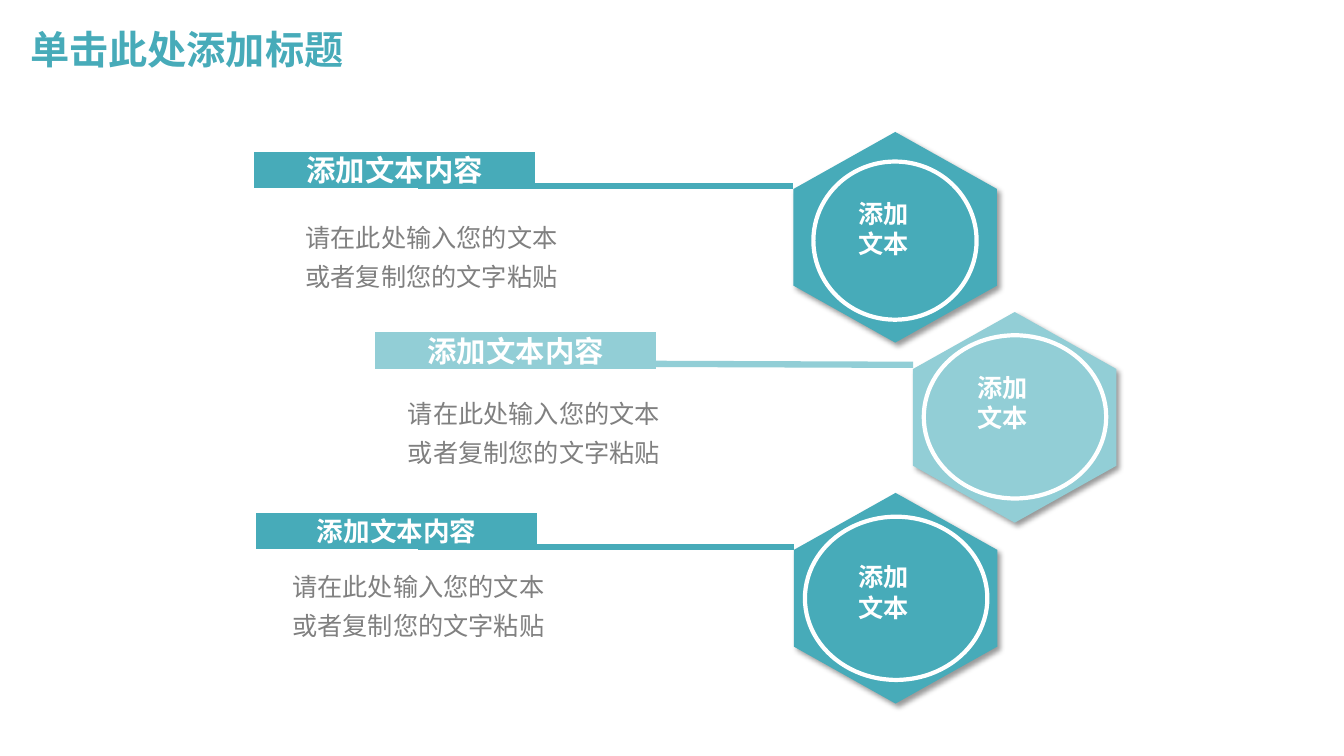
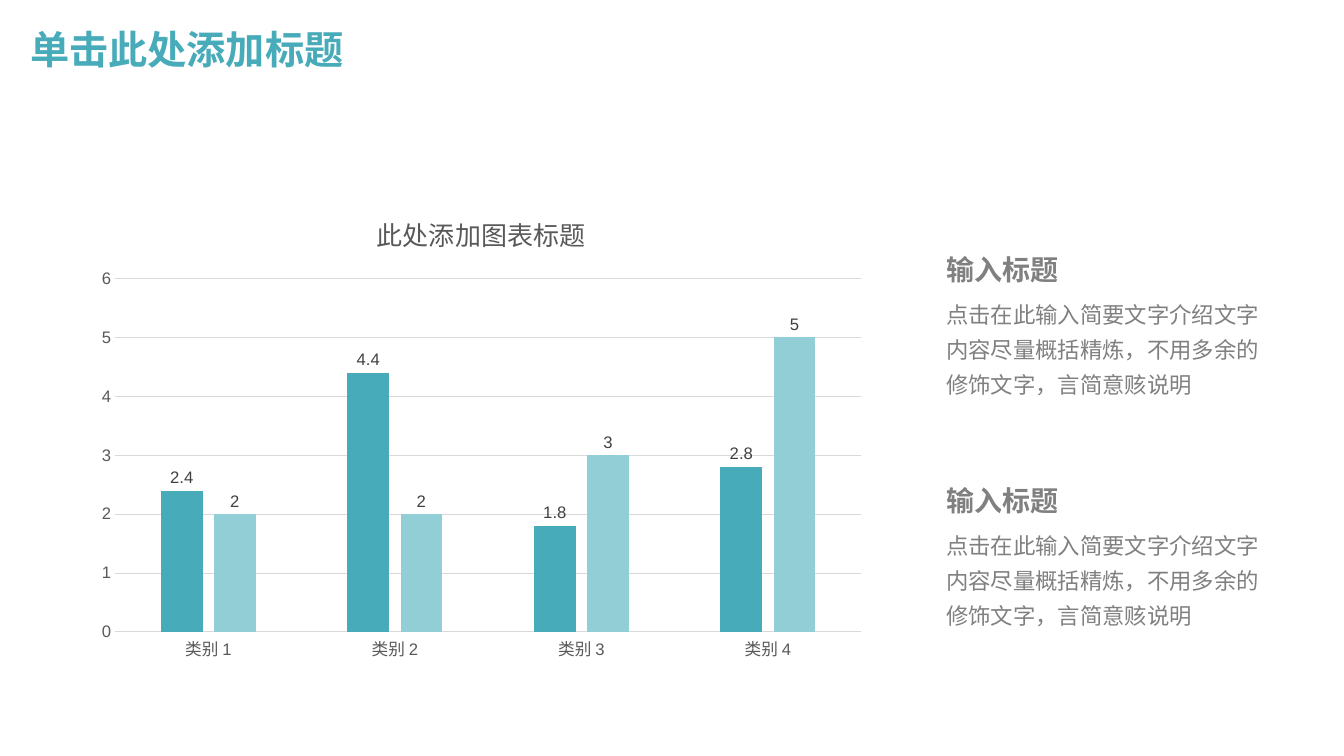
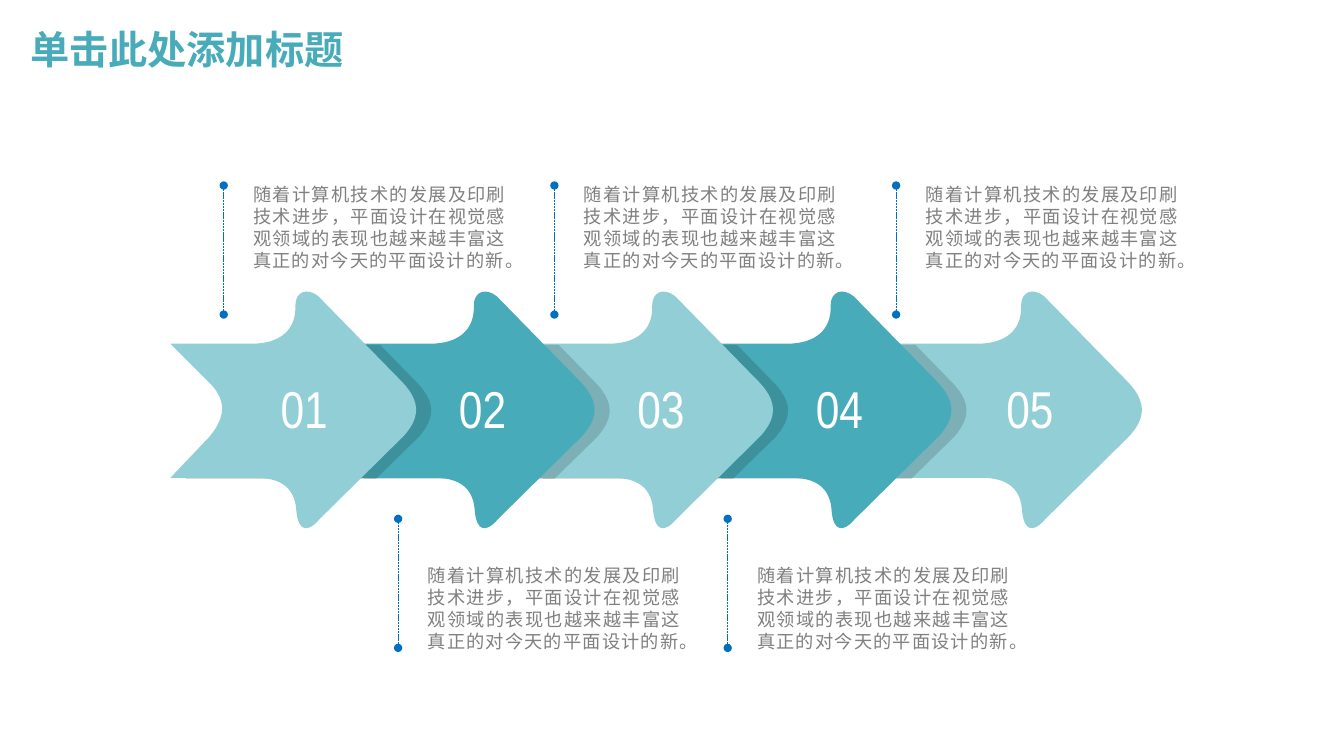
from dataclasses import dataclass
from typing import Any, Optional

import lxml.etree
import pptx
import pptx.chart.data
import pptx.dml.color
import pptx.enum.chart
import pptx.enum.dml
import pptx.enum.shapes
import pptx.enum.text
import pptx.oxml.ns
import pptx.util

Pt = pptx.util.Pt
RGBColor = pptx.dml.color.RGBColor
Align = pptx.enum.text.PP_ALIGN
Anchor = pptx.enum.text.MSO_ANCHOR
AutoSize = pptx.enum.text.MSO_AUTO_SIZE
Shape = pptx.enum.shapes.MSO_SHAPE
qn = pptx.oxml.ns.qn

TEAL = RGBColor(0x47, 0xAB, 0xB9)
PALE_TEAL = RGBColor(0x92, 0xCE, 0xD6)
BLUE = RGBColor(0x00, 0x70, 0xC0)
WHITE = RGBColor(0xFF, 0xFF, 0xFF)
BLACK = RGBColor(0, 0, 0)
GRAY = RGBColor(0x80, 0x80, 0x80)
AXIS_GRAY = RGBColor(0x59, 0x59, 0x59)
LABEL_GRAY = RGBColor(0x40, 0x40, 0x40)
GRID_GRAY = RGBColor(0xD9, 0xD9, 0xD9)

CJK_FONT = "Noto Sans CJK SC"
TITLE = "单击此处添加标题"


@dataclass(frozen=True)
class TextStyle:
    size: float
    color: RGBColor
    bold: bool = False
    font: str = CJK_FONT
    align: Align = Align.LEFT
    spacing: Optional[float] = None


@dataclass(frozen=True)
class Area:
    left: float
    top: float
    width: float
    height: float

    def lengths(self) -> tuple[int, ...]:
        return tuple(Pt(v) for v in (self.left, self.top, self.width, self.height))


@dataclass(frozen=True)
class HexagonRow:
    color: RGBColor
    leader: tuple[float, float, float, float]
    banner: tuple[float, float]
    banner_size: float
    center: tuple[float, float]
    ring: Area
    ring_turn: int
    label_top: float
    label_filled: bool
    body: tuple[float, float]


@dataclass(frozen=True)
class Callout:
    line_x: float
    above: bool


TITLE_STYLE = TextStyle(28, TEAL, True, "Montserrat", spacing=0.9)
BADGE_STYLE = TextStyle(18, WHITE, True)
ROW_BODY_STYLE = TextStyle(18, GRAY, align=Align.CENTER, spacing=1.3)
CHART_TITLE_STYLE = TextStyle(18.6, AXIS_GRAY, align=Align.CENTER)
HEADING_STYLE = TextStyle(20, GRAY, True)
NOTE_STYLE = TextStyle(16, GRAY, spacing=1.3)
NUMBER_STYLE = TextStyle(37, WHITE, font="Arial Narrow")
CALLOUT_STYLE = TextStyle(13, GRAY, align=Align.JUSTIFY)

HEXAGON_ROWS = [
    HexagonRow(TEAL, (298.8, 132.9, 566.6, 132.9), (183.6, 110.6), 21, (639.5, 169.5),
               Area(581, 115.4, 116.6, 113), 0, 138.2, False, (186.5, 148.6)),
    HexagonRow(PALE_TEAL, (280, 259.2, 652.3, 260.6), (270, 239.5), 21, (724.8, 298.1),
               Area(666.7, 232.6, 116.6, 130.3), 270, 262.1, True, (259.7, 274.3)),
    HexagonRow(TEAL, (298.8, 390.7, 567.4, 390.7), (185, 368.6), 19, (639.7, 427.3),
               Area(581.8, 362.2, 116.6, 130.3), 270, 397.6, True, (177.1, 397.8)),
]

CHART_AREA = Area(61.2, 136.8, 564.5, 342)

# An outline is a start point, then lines (one point) and Bezier curves (three points).
ARROW = [
    [(0, 37.4)], [(58.3, 37.4)],
    [(78.5, 37.4), (90, 27.4), (89.3, 10.1)],
    [(89.3, 0), (97.9, -2.9), (105.8, 3.6)],
    [(165.6, 64.8)],
    [(180.7, 80.6), (176.4, 92.2), (167, 103)],
    [(106.6, 162.7)],
    [(97.9, 172.8), (91.4, 171.4), (90, 157)],
    [(89.3, 144.7), (83.5, 133.2), (61.2, 133.2)],
    [(0, 133.2)], [(28.1, 103.7)],
    [(36.7, 92.9), (41.8, 81.4), (30.2, 67.7)],
    [(0, 37.4)],
]
ARROW_SHADE = [
    [(11.5, 38.2)], [(149.8, 38.2)], [(176.4, 65.5)],
    [(191.5, 81.4), (187.2, 92.2), (177.8, 103.7)],
    [(146.9, 133.9)], [(74.9, 133.9)],
    [(74.2, 133.9), (73.4, 133.9), (72, 133.9)],
    [(10.8, 133.9)], [(38.9, 104.4)],
    [(47.5, 93.6), (52.6, 82.1), (41, 68.4)],
    [(11.5, 38.2)],
]
ARROW_TOP = 208.1
ARROW_STEP = 127.44
ARROW_LEFTS = [121.7 + ARROW_STEP * i for i in range(4)] + [640.1]
CURVE_STEPS = 16

CALLOUT_TEXT = ("随着计算机技术的发展及印刷技术进步，平面设计在视觉感观领域的表现也"
                "越来越丰富这真正的对今天的平面设计的新。")
CALLOUTS = [Callout(159.8, True), Callout(284.4, False), Callout(396, True),
            Callout(519.8, False), Callout(640.1, True)]


def set_text(frame: Any, text: str, style: TextStyle) -> None:
    frame.text = text
    for para in frame.paragraphs:
        para.alignment = style.align
        if style.spacing:
            para.line_spacing = style.spacing
        for span in para.runs:
            font = span.font
            font.size, font.bold, font.name = Pt(style.size), style.bold, style.font
            font.color.rgb = style.color
            east_asian = lxml.etree.Element(qn("a:ea"), typeface=style.font)
            font._rPr.find(qn("a:latin")).addnext(east_asian)


def set_margins(frame: Any, side: float, end: float) -> None:
    frame.margin_left = frame.margin_right = Pt(side)
    frame.margin_top = frame.margin_bottom = Pt(end)


def add_text(slide: Any, area: Area, text: str, style: TextStyle, wrap: bool = True) -> Any:
    box = slide.shapes.add_textbox(*area.lengths())
    box.text_frame.word_wrap = wrap
    box.text_frame.auto_size = AutoSize.SHAPE_TO_FIT_TEXT
    set_text(box.text_frame, text, style)
    return box


def paint(shape: Any, fill: RGBColor, line: Optional[RGBColor] = None, width: float = 0) -> None:
    shape.shadow.inherit = False
    shape.fill.solid()
    shape.fill.fore_color.rgb = fill
    if line is None:
        shape.line.fill.background()
    else:
        shape.line.color.rgb = line
        shape.line.width = Pt(width)


def set_opacity(color_element: Any, percent: int) -> None:
    lxml.etree.SubElement(color_element, qn("a:alpha"), val=str(percent * 1000))


def set_fill_opacity(shape: Any, percent: int) -> None:
    set_opacity(shape._element.spPr.find(f"{qn('a:solidFill')}/{qn('a:srgbClr')}"), percent)


def add_drop_shadow(shape: Any) -> None:
    effects = shape._element.spPr.find(qn("a:effectLst"))
    shadow = lxml.etree.SubElement(
        effects, qn("a:outerShdw"), blurRad=str(Pt(4)), dist=str(Pt(3)),
        dir=str(45 * 60000), algn="tl", rotWithShape="0")
    set_opacity(lxml.etree.SubElement(shadow, qn("a:srgbClr"), val=str(BLACK)), 40)


def add_line(slide: Any, ends: tuple[float, float, float, float],
             color: RGBColor, width: float) -> Any:
    line = slide.shapes.add_connector(
        pptx.enum.shapes.MSO_CONNECTOR.STRAIGHT, *(Pt(v) for v in ends))
    line.line.color.rgb = color
    line.line.width = Pt(width)
    lxml.etree.SubElement(line._element.spPr, qn("a:effectLst"))
    return line


def add_master_panel(deck: Any, slide: Any) -> None:
    """Draw the translucent panel and move it behind everything on the master."""
    panel = slide.shapes.add_shape(Shape.RECTANGLE, *Area(0, 70.6, 960, 469.4).lengths())
    paint(panel, WHITE)
    set_fill_opacity(panel, 85)
    panel._element.nvSpPr.cNvPr.set("id", "20")
    deck.slide_master.shapes._spTree.insert(2, panel._element)


def add_titled_slide(deck: Any) -> Any:
    slide = deck.slides.add_slide(deck.slide_layouts[5])
    title = slide.shapes.title
    title.left, title.top, title.width, title.height = Area(14.4, 14, 828, 46).lengths()
    frame = title.text_frame
    frame.vertical_anchor = Anchor.MIDDLE
    frame.auto_size = AutoSize.NONE
    set_text(frame, TITLE, TITLE_STYLE)
    return slide


def add_hexagon_row(slide: Any, row: HexagonRow) -> None:
    add_line(slide, row.leader, row.color, 4.5)

    banner = slide.shapes.add_shape(Shape.RECTANGLE, *Area(*row.banner, 196.6, 21.6).lengths())
    paint(banner, row.color, row.color, 4.5)
    lxml.etree.SubElement(banner.line._get_or_add_ln(), qn("a:miter"), lim="800000")
    set_margins(banner.text_frame, 9.4, 5)
    banner.text_frame.vertical_anchor = Anchor.MIDDLE
    set_text(banner.text_frame, "添加文本内容",
             TextStyle(row.banner_size, WHITE, True, align=Align.CENTER))

    center_x, center_y = row.center
    width, height = 150.5, 145.4
    area = Area(center_x - width / 2, center_y - height / 2, width, height)
    hexagon = slide.shapes.add_shape(Shape.HEXAGON, *area.lengths())
    hexagon.rotation = 270
    hexagon.adjustments[0] = 0.28
    paint(hexagon, row.color)
    add_drop_shadow(hexagon)

    ring = slide.shapes.add_shape(Shape.OVAL, *row.ring.lengths())
    ring.rotation = row.ring_turn
    paint(ring, row.color, WHITE, 3)
    label = add_text(slide, Area(center_x - 33.5, row.label_top, 51, 51),
                     "添加\n文本", BADGE_STYLE, wrap=False)
    if row.label_filled:
        label.fill.solid()
        label.fill.fore_color.rgb = row.color
    add_text(slide, Area(*row.body, 243.4, 64),
             "请在此处输入您的文本\n或者复制您的文字粘贴", ROW_BODY_STYLE)


def set_chart_layout(element: Any, index: int, **points: float) -> None:
    """Place a chart part by points from the chart's corner."""
    old = element.find(qn("c:layout"))
    if old is not None:
        element.remove(old)
    layout = lxml.etree.Element(qn("c:layout"))
    element.insert(index, layout)
    manual = lxml.etree.SubElement(layout, qn("c:manualLayout"))
    if "w" in points:
        lxml.etree.SubElement(manual, qn("c:layoutTarget"), val="inner")
    for mode in ("xMode", "yMode"):
        lxml.etree.SubElement(manual, qn(f"c:{mode}"), val="edge")
    for name, value in points.items():
        whole = CHART_AREA.width if name in "xw" else CHART_AREA.height
        lxml.etree.SubElement(manual, qn(f"c:{name}"), val=f"{value / whole:.4f}")


def set_chart_font(font: Any, size: float, color: RGBColor) -> None:
    font.name, font.size = "Arial", Pt(size)
    font.color.rgb = color


def add_column_chart(slide: Any) -> None:
    data = pptx.chart.data.CategoryChartData()
    data.categories = [f"类别 {i}" for i in range(1, 5)]
    data.add_series("Series 1", (2.4, 4.4, 1.8, 2.8))
    data.add_series("Series 2", (2, 2, 3, 5))
    chart = slide.shapes.add_chart(
        pptx.enum.chart.XL_CHART_TYPE.COLUMN_CLUSTERED, *CHART_AREA.lengths(), data).chart
    set_chart_font(chart.font, 10, BLACK)
    chart.has_legend = False
    chart.has_title = True
    set_text(chart.chart_title.text_frame, "此处添加图表标题", CHART_TITLE_STYLE)
    set_chart_layout(chart.chart_title._element, 1, x=204.3, y=11)
    set_chart_layout(chart._chartSpace.chart.plotArea, 0, x=21, y=62.2, w=533, h=252.5)

    for axis in (chart.category_axis, chart.value_axis):
        set_chart_font(axis.tick_labels.font, 11.9, AXIS_GRAY)
        axis.major_tick_mark = pptx.enum.chart.XL_TICK_MARK.NONE
    category_line = chart.category_axis.format.line
    grid_line = chart.value_axis.major_gridlines.format.line
    for line in (category_line, grid_line):
        line.color.rgb = GRID_GRAY
        line.width = Pt(0.75)
    chart.value_axis.format.line.fill.background()
    chart.value_axis.minimum_scale = 0
    chart.value_axis.maximum_scale = 6
    chart.value_axis.major_unit = 1

    plot = chart.plots[0]
    plot.gap_width, plot.overlap, plot.vary_by_categories = 219, -27, False
    for series, color in zip(plot.series, (TEAL, PALE_TEAL)):
        series.format.fill.solid()
        series.format.fill.fore_color.rgb = color
        labels = series.data_labels
        labels.show_value = True
        labels.position = pptx.enum.chart.XL_LABEL_POSITION.OUTSIDE_END
        set_chart_font(labels.font, 11.9, LABEL_GRAY)


def add_note(slide: Any, top: float) -> None:
    add_text(slide, Area(668.9, top, 95, 31.7), "输入标题", HEADING_STYLE, wrap=False)
    add_text(slide, Area(668.9, top + 29, 244.8, 82.8),
             "点击在此输入简要文字介绍文字内容尽量概括精炼，不用多余的修饰文字，言简意赅说明",
             NOTE_STYLE)


def flatten(outline: list) -> list[tuple[float, float]]:
    """Turn lines and Bezier curves into a list of points."""
    points = []
    for segment in outline:
        if len(segment) == 1:
            points.append(segment[0])
            continue
        controls = [points[-1], *segment]
        for step in range(1, CURVE_STEPS + 1):
            t = step / CURVE_STEPS
            weights = ((1 - t) ** 3, 3 * t * (1 - t) ** 2, 3 * t * t * (1 - t), t ** 3)
            points.append(tuple(sum(w * p[axis] for w, p in zip(weights, controls))
                                for axis in (0, 1)))
    return points


def add_outline(slide: Any, outline: list, left: float, color: RGBColor) -> Any:
    """Size a freeform by its flattened outline, then write its true curves."""
    points = [(Pt(left + x), Pt(ARROW_TOP + y)) for x, y in flatten(outline)]
    builder = slide.shapes.build_freeform(*points[0], scale=1.0)
    builder.add_line_segments(points[1:], close=True)
    shape = builder.convert_to_shape()
    paint(shape, color)

    route = next(shape._element.iter(qn("a:path")))
    for child in list(route):
        route.remove(child)
    for index, segment in enumerate(outline):
        tag = "a:moveTo" if index == 0 else "a:lnTo" if len(segment) == 1 else "a:cubicBezTo"
        command = lxml.etree.SubElement(route, qn(tag))
        for x, y in segment:
            lxml.etree.SubElement(command, qn("a:pt"), x=str(Pt(left + x) - shape.left),
                                  y=str(Pt(ARROW_TOP + y) - shape.top))
    lxml.etree.SubElement(route, qn("a:close"))
    return shape


def add_arrow(slide: Any, index: int) -> None:
    left = ARROW_LEFTS[index]
    if index < len(ARROW_LEFTS) - 1:
        set_fill_opacity(add_outline(slide, ARROW_SHADE, left, BLACK), 15)
    add_outline(slide, ARROW, left, TEAL if index % 2 else PALE_TEAL)
    add_text(slide, Area(left + 71.6, 265.3, 54, 51.8), f"{index + 1:02d}",
             NUMBER_STYLE, wrap=False)


def add_callout(slide: Any, callout: Callout) -> None:
    line_top, text_top = (132.5, 126.2) if callout.above else (370.6, 398.4)
    x = callout.line_x
    line = add_line(slide, (x, line_top + 92.2, x, line_top), BLUE, 0.5)
    line.line.dash_style = pptx.enum.dml.MSO_LINE.SQUARE_DOT
    outline = line.line._get_or_add_ln()
    for end in ("a:headEnd", "a:tailEnd"):
        lxml.etree.SubElement(outline, qn(end), type="oval")
    box = add_text(slide, Area(x + 11.7, text_top, 198.7, 74.2), CALLOUT_TEXT, CALLOUT_STYLE)
    set_margins(box.text_frame, 9.4, 5)


def main() -> None:
    deck = pptx.Presentation()
    deck.slide_width, deck.slide_height = Pt(960), Pt(540)

    hexagon_slide = add_titled_slide(deck)
    add_master_panel(deck, hexagon_slide)
    for row in HEXAGON_ROWS:
        add_hexagon_row(hexagon_slide, row)

    chart_slide = add_titled_slide(deck)
    add_column_chart(chart_slide)
    for top in (176.8, 341.7):
        add_note(chart_slide, top)

    arrow_slide = add_titled_slide(deck)
    for index in reversed(range(len(ARROW_LEFTS))):
        add_arrow(arrow_slide, index)
    for callout in CALLOUTS:
        add_callout(arrow_slide, callout)

    deck.save("out.pptx")


if __name__ == "__main__":
    main()
